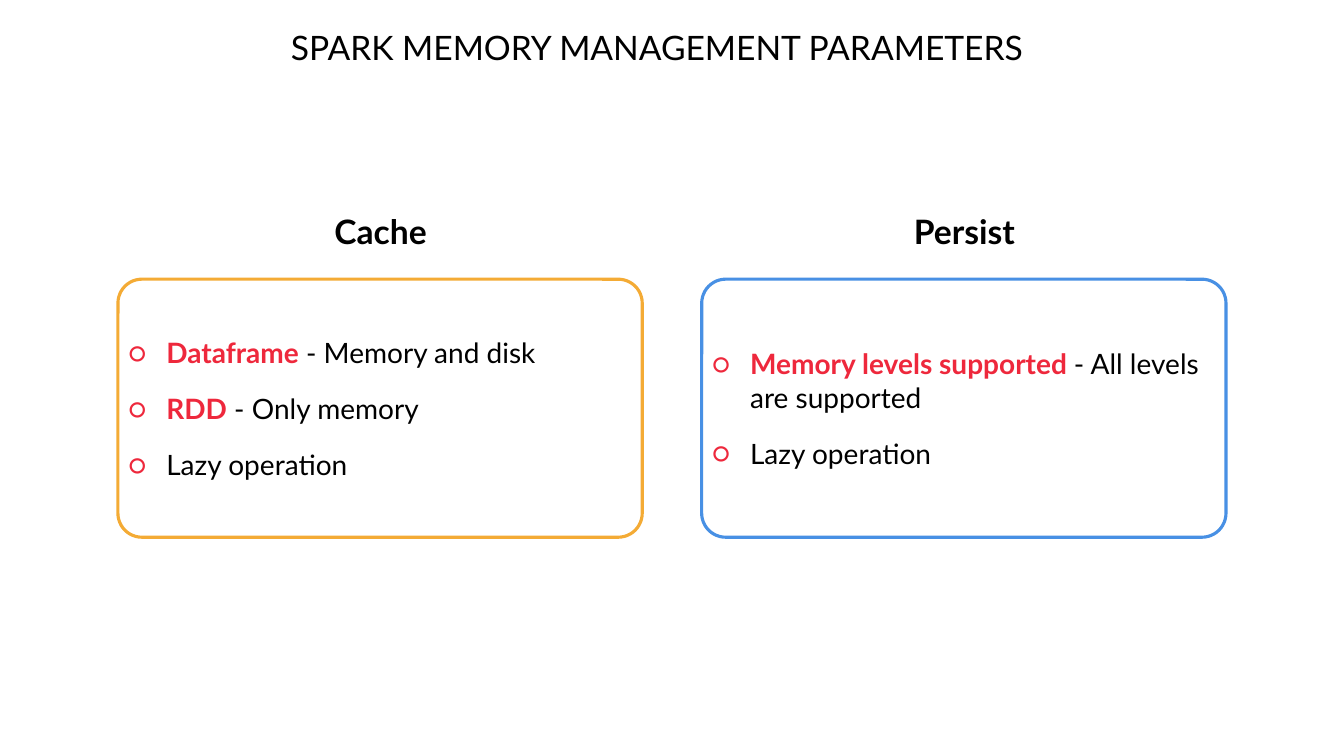
from pptx import Presentation
from pptx.dml.color import RGBColor
from pptx.enum.shapes import MSO_SHAPE
from pptx.enum.text import MSO_ANCHOR, MSO_AUTO_SIZE, PP_ALIGN
from pptx.util import Inches, Pt
from lxml import etree

NS = "http://schemas.openxmlformats.org/drawingml/2006/main"
BLACK, RED = "000000", "EE283C"


def color(code):
    return RGBColor.from_string(code)


def write(box, paras, size=20, bold=False, align=PP_ALIGN.LEFT,
          anchor=MSO_ANCHOR.MIDDLE, inset=0.1, gap=0, bullet=None):
    """Fill a box with paragraphs, each a (red bold lead, plain rest) pair."""
    frame = box.text_frame
    frame.word_wrap = True
    frame.auto_size = MSO_AUTO_SIZE.NONE
    frame.vertical_anchor = anchor
    frame.margin_left = frame.margin_right = Inches(0.1)
    frame.margin_top = frame.margin_bottom = Inches(inset)
    for i, (lead, rest) in enumerate(paras):
        para = frame.paragraphs[0] if i == 0 else frame.add_paragraph()
        para.alignment = align
        para.line_spacing = 1.0
        para.space_before = Pt(0)
        para.space_after = Pt(gap if i < len(paras) - 1 else 0)
        if bullet:
            props = para._p.get_or_add_pPr()
            props.set("marL", str(Inches(0.38)))
            props.set("indent", str(Inches(-0.38)))
            tint = etree.SubElement(props, f"{{{NS}}}buClr")
            etree.SubElement(tint, f"{{{NS}}}srgbClr", val=RED)
            etree.SubElement(props, f"{{{NS}}}buFont", typeface="Lato")
            etree.SubElement(props, f"{{{NS}}}buChar", char=bullet)
        for text, ink, heavy in ((lead, RED, True), (rest, BLACK, bold)):
            if text:
                run = para.add_run()
                run.text = text
                run.font.name = "Lato"
                run.font.size = Pt(size)
                run.font.bold = heavy
                run.font.color.rgb = color(ink)


deck = Presentation()
deck.slide_width, deck.slide_height = Inches(13.33), Inches(7.5)
slide = deck.slides.add_slide(deck.slide_layouts[4])  # Comparison layout
holders = slide.placeholders

# Title
title = slide.shapes.title
title.left, title.top = Inches(1.17), Inches(0.22)
title.width, title.height = Inches(10.69), Inches(0.57)
title.fill.solid()
title.fill.fore_color.rgb = color("FFFFFF")
write(title, [("", "SPARK MEMORY MANAGEMENT PARAMETERS")], size=24,
      align=PP_ALIGN.CENTER, anchor=MSO_ANCHOR.TOP, inset=0.05)

# Two columns: heading, rounded frame and list
columns = [
    ("Cache", "F4AB35", [("Dataframe", " - Memory and disk"),
                         ("RDD", " - Only memory"),
                         ("", "Lazy operation")]),
    ("Persist", "4890E4", [("Memory levels supported ", "- All levels are supported"),
                           ("", "Lazy operation")]),
]
wide, tall, top = 5.2, 2.56, 2.77
for col, (name, edge, items) in enumerate(columns):
    left = 1.17 + col * 5.79

    head = holders[1 + 2 * col]
    head.left, head.top = Inches(left + 1.5), Inches(2.05)
    head.width, head.height = Inches(2.21), Inches(0.48)
    write(head, [("", name)], size=24, bold=True, align=PP_ALIGN.CENTER)

    frame = slide.shapes.add_shape(MSO_SHAPE.ROUNDED_RECTANGLE, Inches(left),
                                   Inches(top), Inches(wide), Inches(tall))
    frame.adjustments[0] = 0.093
    frame.shadow.inherit = False
    frame.fill.background()
    frame.line.color.rgb = color(edge)
    frame.line.width = Pt(2.25)

    body = holders[2 + 2 * col]
    body.left, body.top = Inches(left), Inches(top)
    body.width, body.height = Inches(wide), Inches(tall)
    write(body, items, gap=16, bullet="○")

deck.save("out.pptx")
